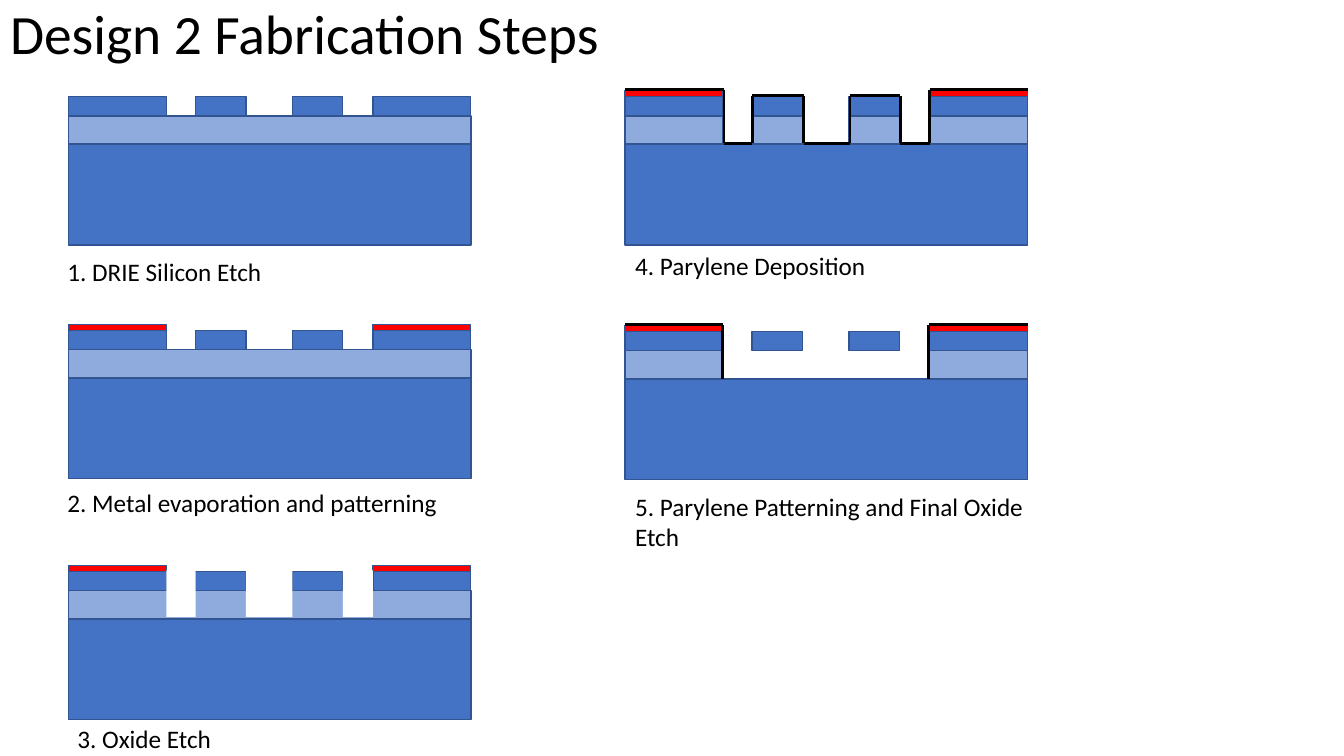
import pptx
import pptx.util
import pptx.dml.color
import pptx.enum.shapes
import pptx.enum.text
import lxml.etree

Inches, Pt = pptx.util.Inches, pptx.util.Pt
COLORS = {
    "silicon": "4472C4",
    "oxide": "8FAADC",
    "metal": "FF0000",
    "parylene": "000000",
    "outline": "325491",
    "gap": "FFFFFF",
    "text": "000000",
}
COLORS = {name: pptx.dml.color.RGBColor.from_string(value) for name, value in COLORS.items()}

# Wafer cross-section, in inches from its left edge and the top of its device layer
WAFER_WIDTH = 3.99
DEVICE, OXIDE, SUBSTRATE, METAL = 0.19, 0.28, 1.0, 0.06
TRENCH = DEVICE + OXIDE
FLOOR = TRENCH - 0.01
FILM_TOP = -0.07
PADS = [(0, 0.97), (3.02, 0.97)]
BEAMS = [(1.26, 0.5), (2.22, 0.5)]
BLOCKS = sorted(PADS + BEAMS)
GAPS = [(x + width, following - x - width)
        for (x, width), (following, _) in zip(BLOCKS, BLOCKS[1:])]

LEFT_COLUMN, RIGHT_COLUMN = 0.68, 6.2
FULL_OXIDE = [(0, WAFER_WIDTH)]
CONFORMAL_FILM = [[
    (0, FILM_TOP), (0.98, FILM_TOP), (0.98, FLOOR), (1.26, FLOOR), (1.26, -0.01),
    (1.77, -0.01), (1.77, FLOOR), (2.23, FLOOR), (2.23, -0.01), (2.73, -0.01),
    (2.73, FLOOR), (3.02, FLOOR), (3.02, FILM_TOP), (4, FILM_TOP),
]]
PATTERNED_FILM = [
    [(0, FILM_TOP), (0.97, FILM_TOP), (0.97, TRENCH)],
    [(3.01, TRENCH), (3.01, FILM_TOP), (4, FILM_TOP)],
]

# left, device top, oxide spans, metal spans, cleared gaps, films, caption, caption box
STEPS = [
    (LEFT_COLUMN, 0.96, FULL_OXIDE, [], [], [],
     "1. DRIE Silicon Etch", (0.57, 2.49, 2.21, 0.4)),
    (LEFT_COLUMN, 3.28, FULL_OXIDE, PADS, [], [],
     "2. Metal evaporation and patterning", (0.57, 4.79, 4.1, 0.4)),
    (LEFT_COLUMN, 5.67, FULL_OXIDE, PADS, GAPS, [],
     "3. Oxide Etch", (0.67, 7.13, 4.1, 0.4)),
    (RIGHT_COLUMN, 0.96, BLOCKS, PADS, [], CONFORMAL_FILM,
     "4. Parylene Deposition", (6.2, 2.43, 4.1, 0.4)),
    (RIGHT_COLUMN, 3.29, PADS, PADS, [], PATTERNED_FILM,
     "5. Parylene Patterning and Final Oxide Etch", (6.2, 4.82, 4.1, 0.71)),
]

presentation = pptx.Presentation()
presentation.slide_width, presentation.slide_height = Inches(13.33), Inches(7.5)
slide = presentation.slides.add_slide(presentation.slide_layouts[5])


def add_layer(material, spans, left, top, height):
    """Draw one rectangle of a material for each (offset, width) span."""
    for offset, width in spans:
        shape = slide.shapes.add_shape(
            pptx.enum.shapes.MSO_SHAPE.RECTANGLE,
            Inches(left + offset), Inches(top), Inches(width), Inches(height))
        shape.shadow.inherit = False
        shape.fill.solid()
        shape.fill.fore_color.rgb = COLORS[material]
        if material == "gap":
            shape.line.fill.background()
        else:
            shape.line.color.rgb = COLORS["outline"]
            shape.line.width = Pt(1)


def add_film(points, left, top):
    """Draw a chain of straight lines through the points."""
    for (x1, y1), (x2, y2) in zip(points, points[1:]):
        connector = slide.shapes.add_connector(
            pptx.enum.shapes.MSO_CONNECTOR.STRAIGHT,
            Inches(left + x1), Inches(top + y1), Inches(left + x2), Inches(top + y2))
        connector.line.color.rgb = COLORS["parylene"]
        connector.line.width = Pt(2)
        lxml.etree.SubElement(connector._element.spPr, pptx.oxml.ns.qn("a:effectLst"))


title = slide.shapes.title
title.left, title.top, title.width, title.height = 0, 0, Inches(10.48), Inches(0.73)
title.text_frame.text = "Design 2 Fabrication Steps"
title.text_frame.word_wrap = True
title.text_frame.vertical_anchor = pptx.enum.text.MSO_ANCHOR.MIDDLE
heading = title.text_frame.paragraphs[0]
heading.alignment = pptx.enum.text.PP_ALIGN.LEFT
heading.line_spacing = 0.9
heading.font.size = Pt(39.6)
heading.font.name = "Calibri"
heading.font.color.rgb = COLORS["text"]

for left, top, oxide, metal, cleared, films, caption, box in STEPS:
    add_layer("silicon", [(0, WAFER_WIDTH)], left, top + TRENCH, SUBSTRATE)
    add_layer("oxide", oxide, left, top + DEVICE, OXIDE)
    add_layer("silicon", BLOCKS, left, top, DEVICE)
    add_layer("metal", metal, left, top - METAL, METAL)
    add_layer("gap", cleared, left, top - 0.01, FLOOR)
    for film in films:
        add_film(film, left, top)

    text_box = slide.shapes.add_textbox(*[Inches(length) for length in box])
    text_box.text_frame.word_wrap = True
    text_box.text_frame.text = caption
    paragraph = text_box.text_frame.paragraphs[0]
    paragraph.font.size = Pt(18)
    paragraph.font.name = "Calibri"
    paragraph.font.color.rgb = COLORS["text"]

presentation.save("out.pptx")
